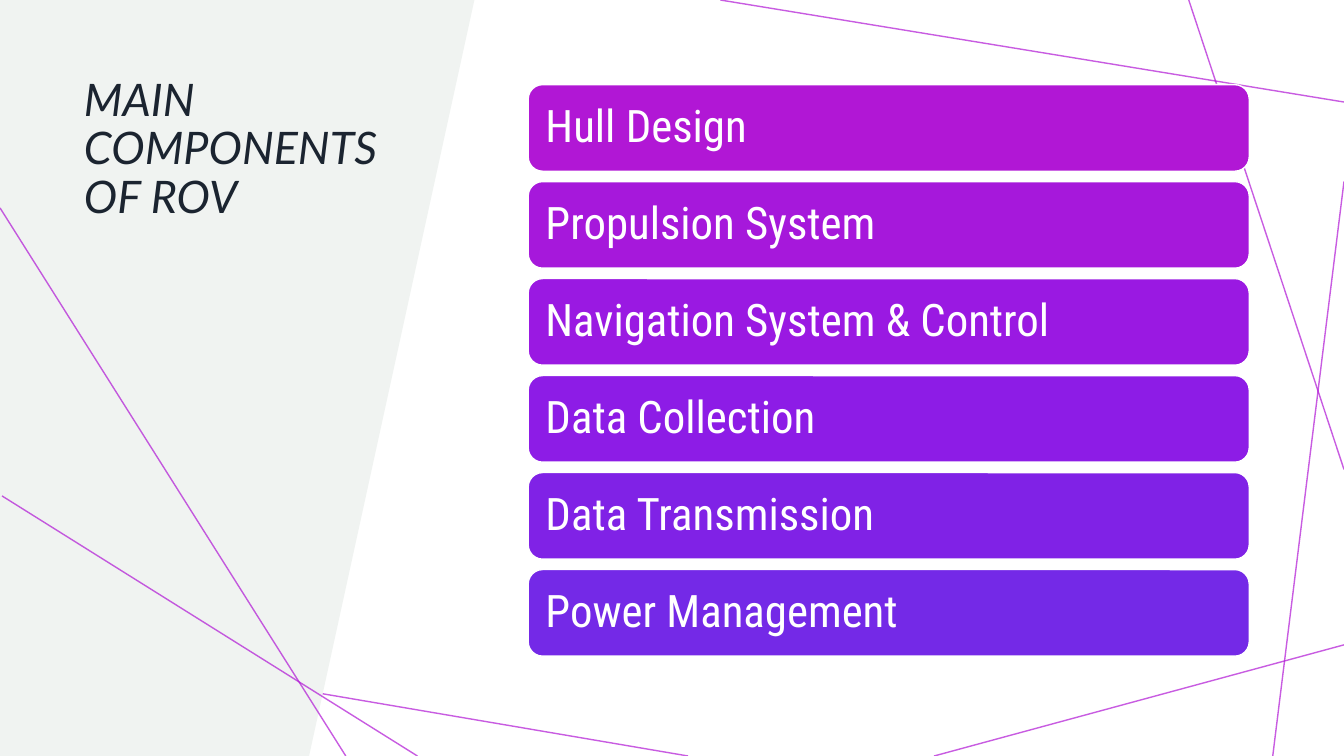
from dataclasses import dataclass

from lxml import etree
from pptx import Presentation
from pptx.dml.color import RGBColor
from pptx.enum.shapes import MSO_CONNECTOR, MSO_SHAPE
from pptx.enum.text import MSO_ANCHOR, MSO_AUTO_SIZE, PP_ALIGN
from pptx.oxml.ns import qn
from pptx.util import Inches, Pt

STRAIGHT = MSO_CONNECTOR.STRAIGHT
ROUNDED = MSO_SHAPE.ROUNDED_RECTANGLE
TOP, MIDDLE = MSO_ANCHOR.TOP, MSO_ANCHOR.MIDDLE
LEFT = PP_ALIGN.LEFT
NO_FIT = MSO_AUTO_SIZE.NONE
WIDE, HIGH = Inches(13.33), Inches(7.5)


@dataclass(frozen=True)
class Theme:
    ink: str = "1B2430"
    paper: str = "FFFFFF"
    panel: str = "F0F3F1"
    accent: str = "B117D5"
    cards: tuple = ("B117D5", "A618DB", "9A19E2", "8D1CE6", "8022E6", "7429E7")
    head: str = "Lato"
    body: str = "Roboto Condensed"
    size: int = 32
    rule: int = 1
    alpha: int = 70


THEME = Theme()
TITLE = "MAIN COMPONENTS OF ROV"
PARTS = (
    "Hull Design",
    "Propulsion System",
    "Navigation System & Control",
    "Data Collection",
    "Data Transmission",
    "Power Management",
)

# Places are percent of the slide's width and height.
PANEL = ((0, 0), (35.3, 0), (23, 100), (0, 100))
TITLE_BOX = (5.5, 9.6, 27.8, 49.3)
CARD_BOX = (39.3, 11.2, 53.65, 75.6)
GAP = 0.107  # share of one card step
BACK = (
    ((51.2, 100), (0, 84.5)),
    ((100, 85.3), (69.5, 100)),
    ((100, 24), (94.7, 100)),
    ((100, 62.1), (88.45, 0)),
    ((100, 13.5), (53.6, 0)),
)
FRONT = (
    ((31.06, 100), (0.15, 65.6)),
    ((0, 27.5), (25.73, 100)),
)


def point(x, y):
    return round(WIDE * x / 100), round(HIGH * y / 100)


def area(box):
    return point(*box[:2]) + point(*box[2:])


def color(code):
    return RGBColor.from_string(code)


def apply(target, values):
    for name, value in values.items():
        setattr(target, name, value)


def paint(shape, code):
    shape.shadow.inherit = False
    shape.fill.solid()
    shape.fill.fore_color.rgb = color(code)


def write(shape, text, frame, font):
    apply(shape.text_frame, {"word_wrap": True, "auto_size": NO_FIT, **frame})
    line = shape.text_frame.paragraphs[0]
    line.text = text
    apply(line, {"alignment": LEFT, "line_spacing": 0.9})
    apply(line.font, {"size": Pt(THEME.size), **font})


def draw_lines(slide, lines):
    """Draw thin, partly transparent accent lines."""
    for start, end in lines:
        line = slide.shapes.add_connector(STRAIGHT, *point(*start), *point(*end))
        line.line.width = Pt(THEME.rule)
        line.line.color.rgb = color(THEME.accent)
        props = line._element.spPr
        tint = next(props.iter(qn("a:srgbClr")))
        etree.SubElement(tint, qn("a:alpha"), val=str(THEME.alpha * 1000))
        etree.SubElement(props, qn("a:effectLst"))


def draw_panel(slide, corners):
    first, *rest = (point(*corner) for corner in corners)
    form = slide.shapes.build_freeform(*first)
    form.add_line_segments(rest, close=True)
    panel = form.convert_to_shape()
    paint(panel, THEME.panel)
    panel.line.fill.background()


def place_title(slide, box):
    """Set the title and lift it above the panel."""
    title = slide.shapes.title
    left, top, width, height = area(box)
    apply(title, {"left": left, "top": top, "width": width, "height": height})
    write(title, TITLE, {"vertical_anchor": TOP},
          {"name": THEME.head, "italic": True})
    title.text_frame.paragraphs[0].font.color.rgb = color(THEME.ink)
    slide.shapes._spTree.append(title._element)


def draw_cards(slide, box):
    left, top, width, height = area(box)
    step = height / (len(PARTS) - GAP)
    pad = Inches(0.13)
    frame = {"vertical_anchor": MIDDLE}
    for side in ("left", "top", "right", "bottom"):
        frame["margin_" + side] = pad
    for row, (text, fill) in enumerate(zip(PARTS, THEME.cards)):
        card = slide.shapes.add_shape(
            ROUNDED, left, round(top + row * step), width, round(step * (1 - GAP)))
        paint(card, fill)
        card.line.color.rgb = color(THEME.paper)
        card.line.width = Pt(THEME.rule)
        write(card, text, frame, {"name": THEME.body})
        card.text_frame.paragraphs[0].font.color.rgb = color(THEME.paper)


def main():
    deck = Presentation()
    apply(deck, {"slide_width": WIDE, "slide_height": HIGH})
    slide = deck.slides.add_slide(deck.slide_layouts.get_by_name("Title Only"))
    slide.background.fill.solid()
    slide.background.fill.fore_color.rgb = color(THEME.paper)
    draw_lines(slide, BACK)
    draw_panel(slide, PANEL)
    place_title(slide, TITLE_BOX)
    draw_lines(slide, FRONT)
    draw_cards(slide, CARD_BOX)
    deck.save("out.pptx")


if __name__ == "__main__":
    main()
